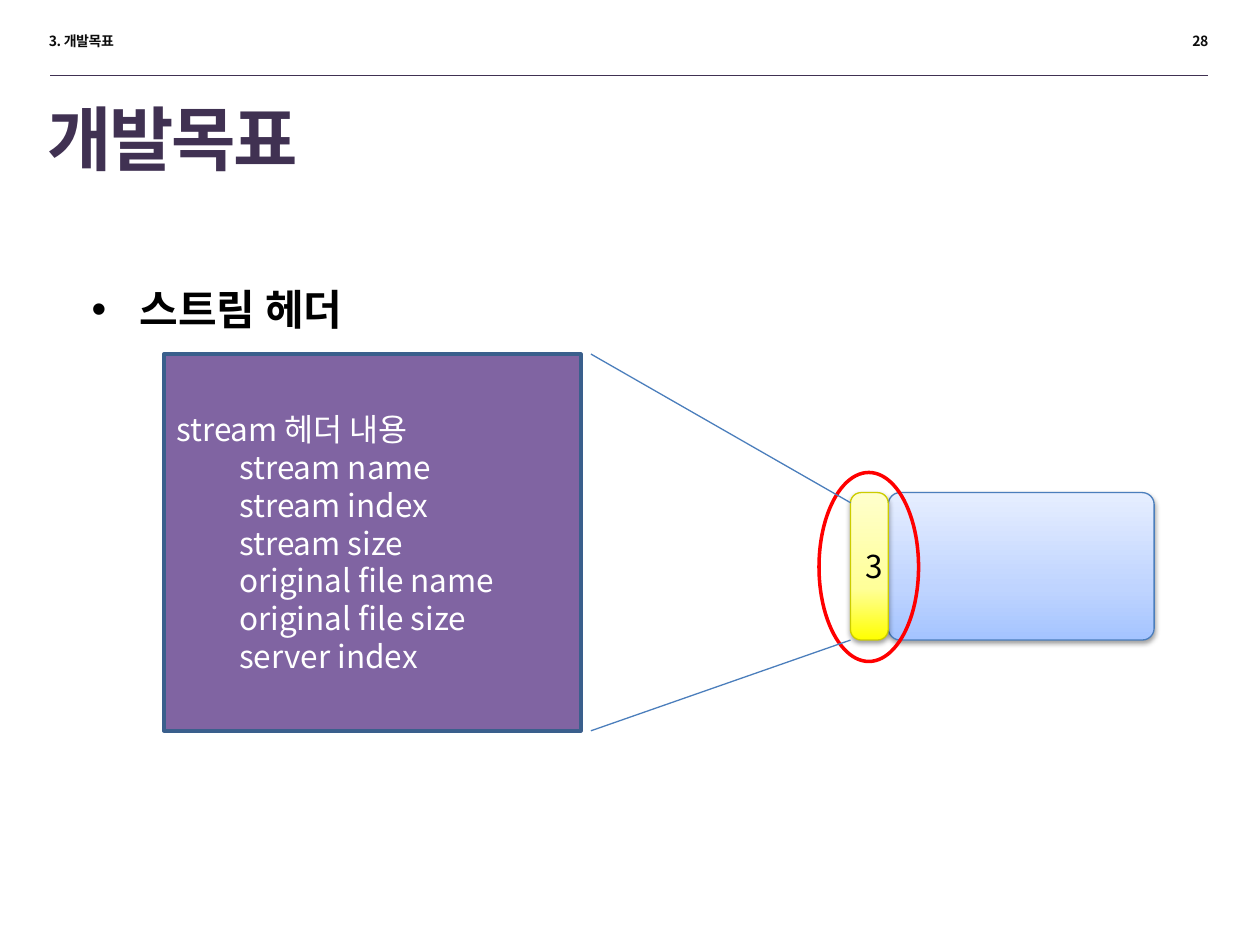
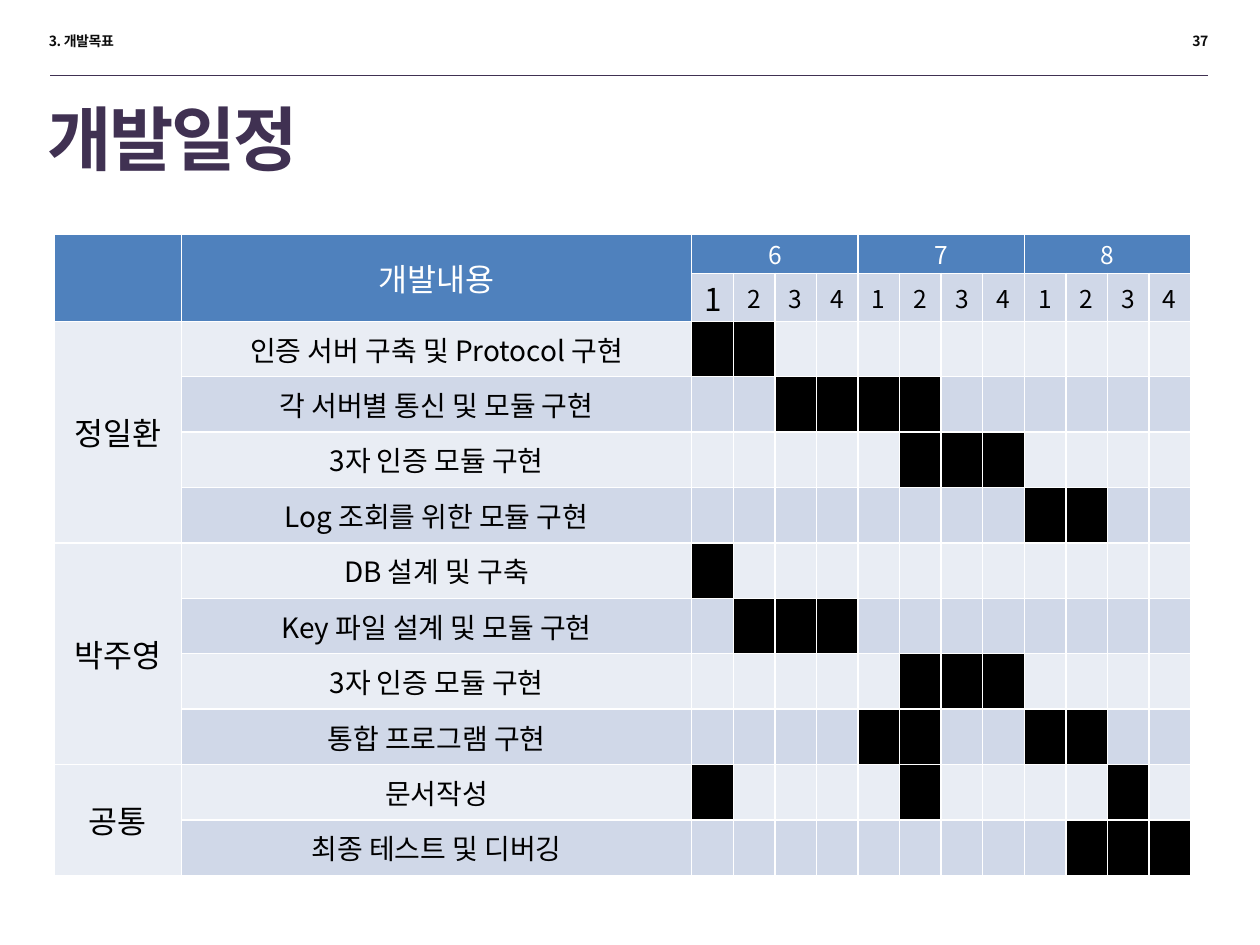
from lxml import etree
from pptx import Presentation
from pptx.dml.color import RGBColor
from pptx.enum.shapes import MSO_CONNECTOR, MSO_SHAPE
from pptx.enum.text import MSO_ANCHOR, MSO_AUTO_SIZE, PP_ALIGN
from pptx.oxml.ns import qn
from pptx.util import Inches, Pt

LEFT, MID, RIGHT = PP_ALIGN.LEFT, PP_ALIGN.CENTER, PP_ALIGN.RIGHT
RECT, ROUND, OVAL = MSO_SHAPE.RECTANGLE, MSO_SHAPE.ROUNDED_RECTANGLE, MSO_SHAPE.OVAL
CENTER = MSO_ANCHOR.MIDDLE
STRAIGHT = MSO_CONNECTOR.STRAIGHT
NO_FIT = MSO_AUTO_SIZE.NONE

FONT = "Noto Sans CJK KR"
COLORS = {
    "plum": "403152", "ink": "0D0D0D", "black": "000000", "white": "FFFFFF",
    "violet": "8064A2", "navy": "3A5F8C", "edge": "4B7EBC", "red": "FF0000",
    "olive": "CCCC00", "head": "4F81BD", "pale": "E9EDF4", "band": "D0D8E8",
}
BLUES = [(0, "A4C4FF"), (35, "BFD4FF"), (100, "E6EEFF")]
YELLOWS = [(0, "FFFF00"), (35, "FFFF99"), (100, "FFFFCC")]

SECTION = "3. 개발목표"
POINT = "스트림 헤더"
HEADER = "stream 헤더 내용"
FIELDS = ["stream name", "stream index", "stream size",
          "original file name", "original file size", "server index"]
RAYS = [((4.69, 2.81), (6.75, 3.99)), ((4.69, 5.8), (6.75, 5.08))]

TASKS = "개발내용"
MONTHS = ["6", "7", "8"]
WEEKS = 4
PLAN = [
    ("정일환", [
        ("인증 서버 구축 및 Protocol 구현", [1, 2]),
        ("각 서버별 통신 및 모듈 구현", [3, 4, 5, 6]),
        ("3자 인증 모듈 구현", [6, 7, 8]),
        ("Log 조회를 위한 모듈 구현", [9, 10]),
    ]),
    ("박주영", [
        ("DB 설계 및 구축", [1]),
        ("Key 파일 설계 및 모듈 구현", [2, 3, 4]),
        ("3자 인증 모듈 구현", [6, 7, 8]),
        ("통합 프로그램 구현", [5, 6, 9, 10]),
    ]),
    ("공통", [
        ("문서작성", [1, 6, 11]),
        ("최종 테스트 및 디버깅", [10, 11, 12]),
    ]),
]


def color(name):
    return RGBColor.from_string(COLORS[name])


def style(frame, size, tint, bold=False, align=LEFT, space=None):
    for par in frame.paragraphs:
        par.alignment = align
        for run in par.runs:
            font = run.font
            font.name, font.size, font.bold = FONT, Pt(size), bold
            font.color.rgb = color(tint)
            props = run._r.get_or_add_rPr()
            etree.SubElement(props, qn("a:ea"), typeface=FONT)
            if space is not None:
                props.set("spc", str(int(space * 100)))


def indent(par, left, first=0):
    props = par._p.get_or_add_pPr()
    props.set("marL", str(Inches(left)))
    props.set("indent", str(Inches(first)))
    return props


def label(slide, text, box, size, tint, **look):
    frame = slide.shapes.add_textbox(*map(Inches, box)).text_frame
    frame.word_wrap = True
    frame.text = text
    style(frame, size, tint, **look)
    return frame


def line(slide, start, end, tint, width):
    rule = slide.shapes.add_connector(STRAIGHT, *map(Inches, start + end))
    rule.line.color.rgb = color(tint)
    rule.line.width = Pt(width)
    etree.SubElement(rule._element.spPr, qn("a:effectLst"))


def shape(slide, kind, box, edge, width, fill=None):
    item = slide.shapes.add_shape(kind, *map(Inches, box))
    item.shadow.inherit = False
    item.line.color.rgb = color(edge)
    item.line.width = Pt(width)
    if fill:
        item.fill.solid()
        item.fill.fore_color.rgb = color(fill)
    else:
        item.fill.background()
    item.text_frame.vertical_anchor = CENTER
    return item


def block(slide, box, edge, round_by, stops):
    item = shape(slide, ROUND, box, edge, 0.75)
    item.adjustments[0] = round_by
    item.fill.gradient()
    item.fill.gradient_angle = 90
    props = item._element.spPr
    marks = props.find(qn("a:gradFill")).find(qn("a:gsLst"))
    for old in list(marks):
        marks.remove(old)
    for pos, tint in stops:
        mark = etree.SubElement(marks, qn("a:gs"), pos=str(pos * 1000))
        etree.SubElement(mark, qn("a:srgbClr"), val=tint)
    shade = etree.SubElement(
        props.find(qn("a:effectLst")), qn("a:outerShdw"), blurRad=str(Pt(3.1)),
        dist=str(Pt(1.6)), dir="5400000", rotWithShape="0")
    tone = etree.SubElement(shade, qn("a:srgbClr"), val=COLORS["black"])
    etree.SubElement(tone, qn("a:alpha"), val="38000")
    return item


def page(deck, title, number):
    slide = deck.slides.add_slide(deck.slide_layouts[5])
    head = slide.shapes.title
    head.left, head.top, head.width, head.height = map(Inches, (0.28, 0.77, 9.26, 0.64))
    frame = head.text_frame
    frame.text = title
    frame.auto_size = NO_FIT
    frame.vertical_anchor = CENTER
    style(frame, 40, "plum", bold=True, space=-1.5)
    for text, left, align in ((SECTION, 0.29, LEFT), (number, 7.96, RIGHT)):
        label(slide, text, (left, 0.21, 1.73, 0.24), 8, "ink",
              bold=True, align=align, space=-0.3)
    line(slide, (0.4, 0.6), (9.59, 0.6), "plum", 0.25)
    return slide


def stream(slide):
    point = label(slide, POINT, (0.63, 2, 9.37, 2.14), 24, "black", bold=True).paragraphs[0]
    point.line_spacing = 1.5
    point.space_before = Pt(4.8)
    props = indent(point, 0.38, -0.38)
    etree.SubElement(props, qn("a:buFont"), typeface="Arial")
    etree.SubElement(props, qn("a:buChar"), char="•")

    frame = shape(slide, RECT, (1.3, 2.81, 3.31, 2.99), "navy", 2, "violet").text_frame
    frame.text = "\n".join([HEADER] + FIELDS)
    style(frame, 18, "white")
    for par in frame.paragraphs[1:]:
        par.level = 1
        indent(par, 0.5)

    block(slide, (7.05, 3.91, 2.11, 1.17), "edge", 0.08, BLUES)
    cell = block(slide, (6.75, 3.91, 0.3, 1.17), "olive", 0.28, YELLOWS)
    cell.text_frame.text = "3"
    style(cell.text_frame, 18, "black", align=MID)
    shape(slide, OVAL, (6.5, 3.75, 0.79, 1.5), "red", 2)
    for start, end in RAYS:
        line(slide, start, end, "edge", 0.75)


def put(cell, fill, text="", size=14, tint="black"):
    cell.fill.solid()
    cell.fill.fore_color.rgb = color(fill)
    cell.vertical_anchor = CENTER
    cell.margin_top = cell.margin_bottom = 0
    frame = cell.text_frame
    if text:
        frame.text = text
        style(frame, size, tint, align=MID)
    else:
        frame.paragraphs[0]._p.get_or_add_endParaRPr().set("sz", str(size * 100))


def chart(slide):
    jobs = [job for _, group in PLAN for job in group]
    slots = len(MONTHS) * WEEKS
    wide = [1.01, 4.05] + [0.33] * slots
    high = [0.31, 0.38] + [0.44] * len(jobs)
    grid = slide.shapes.add_table(
        len(high), len(wide), *map(Inches, (0.43, 1.86, 9.06, 5.16))).table
    for col, width in zip(grid.columns, wide):
        col.width = Inches(width)
    for row, height in zip(grid.rows, high):
        row.height = Inches(height)

    for col, text in enumerate(["", TASKS]):
        put(grid.cell(1, col), "head")
        put(grid.cell(0, col), "head", text, 18 if text else 14, "white")
        grid.cell(0, col).merge(grid.cell(1, col))
    for slot in range(slots):
        month, week = divmod(slot, WEEKS)
        col = slot + 2
        put(grid.cell(0, col), "head", "" if week else MONTHS[month], 14, "white")
        put(grid.cell(1, col), "band", str(week + 1), 14 if slot else 18)
        if week == WEEKS - 1:
            grid.cell(0, col - week).merge(grid.cell(0, col))

    for row, (task, weeks) in enumerate(jobs, 2):
        base = "band" if row % 2 else "pale"
        put(grid.cell(row, 0), "pale")
        put(grid.cell(row, 1), base, task, 16)
        for slot in range(1, slots + 1):
            put(grid.cell(row, slot + 1), "black" if slot in weeks else base)

    row = 2
    for owner, group in PLAN:
        put(grid.cell(row, 0), "pale", owner, 18)
        grid.cell(row, 0).merge(grid.cell(row + len(group) - 1, 0))
        row += len(group)


def main():
    deck = Presentation()
    deck.slide_width, deck.slide_height = Inches(10), Inches(7.5)
    stream(page(deck, "개발목표", "28"))
    chart(page(deck, "개발일정", "37"))
    deck.save("out.pptx")


if __name__ == "__main__":
    main()
